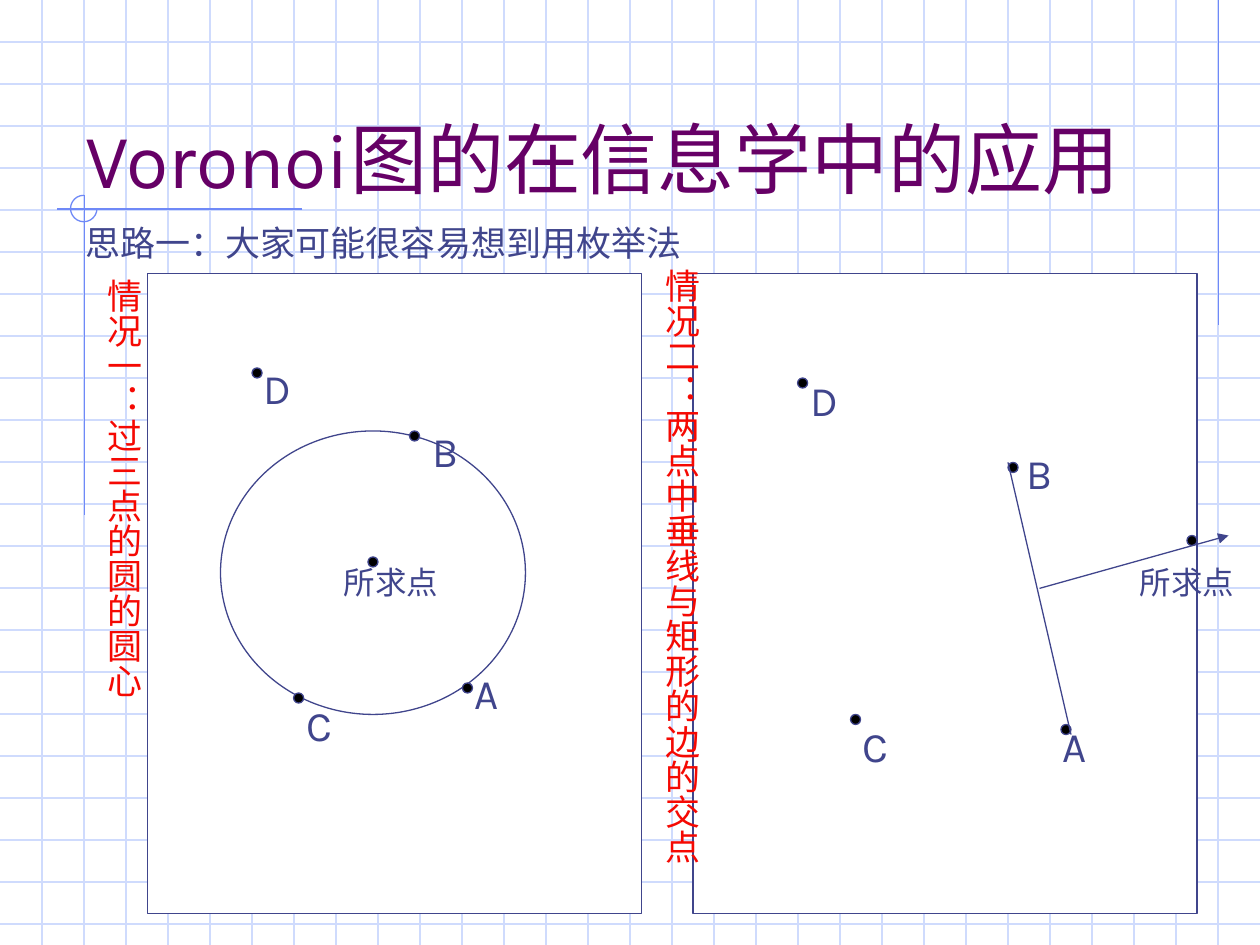
from lxml import etree
from pptx import Presentation
from pptx import util as u
from pptx.dml import color
from pptx.enum import shapes, text
from pptx.oxml import ns

FONT = "Karla"
INK, RED, PURPLE = "40458C", "F50903", "660066"
GRID, ACCENT = "CFDBFD", "6F89F7"
LINE_WIDTH = 0.74
DOT = 0.08


def rgb(value):
    """Turn a hex string into a colour."""
    return color.RGBColor.from_string(value)


def add_line(slide, start, end, line_color, arrow=False):
    """Draw a straight line, with an arrowhead at its end if asked."""
    points = [u.Inches(value) for value in (*start, *end)]
    connector = slide.shapes.add_connector(shapes.MSO_CONNECTOR.STRAIGHT, *points)
    connector.line.color.rgb = rgb(line_color)
    connector.line.width = u.Pt(LINE_WIDTH)
    if arrow:
        outline = connector.line._get_or_add_ln()
        etree.SubElement(outline, ns.qn("a:tailEnd"), type="triangle")
    etree.SubElement(connector._element.spPr, ns.qn("a:effectLst"))


def add_figure(slide, kind, box, fill=None, line_color=INK):
    """Draw a preset shape; without a fill colour it is hollow."""
    shape = slide.shapes.add_shape(kind, *[u.Inches(value) for value in box])
    shape.shadow.inherit = False
    if fill:
        shape.fill.solid()
        shape.fill.fore_color.rgb = rgb(fill)
    else:
        shape.fill.background()
    shape.line.color.rgb = rgb(line_color)
    shape.line.width = u.Pt(LINE_WIDTH)
    return shape


def add_text(slide, box, words, size, font_color=INK, centred=True,
             wrap=False, vertical=False, spacing=None):
    """Place one paragraph of text in a box, upright or top to bottom."""
    shape = slide.shapes.add_textbox(*[u.Inches(value) for value in box])
    frame = shape.text_frame
    frame.word_wrap = wrap
    frame.text = words
    paragraph = frame.paragraphs[0]
    paragraph.alignment = text.PP_ALIGN.CENTER if centred else text.PP_ALIGN.LEFT
    if spacing:
        paragraph.line_spacing = spacing
        paragraph.space_before = u.Pt(5)
    font = paragraph.runs[0].font
    font.name, font.size = FONT, u.Pt(size)
    font.color.rgb = rgb(font_color)
    if vertical:
        frame._txBody.bodyPr.set("vert", "eaVert")
        frame.margin_left = frame.margin_right = u.Inches(0.05)
        frame.margin_top = frame.margin_bottom = u.Inches(0.1)
    return frame


def add_background(slide, width, height):
    """Draw the square grid and the corner ornaments."""
    step = 1 / 3
    for row in range(1, int(height / step) + 1):
        add_line(slide, (0, row * step), (width, row * step), GRID)
    for column in range(1, round(width / step)):
        add_line(slide, (column * step, 0), (column * step, height), GRID)
    add_line(slide, (9.67, 0), (9.67, 2.58), ACCENT)
    add_line(slide, (2.4, 1.66), (0.45, 1.66), ACCENT)
    add_line(slide, (0.67, 1.55), (0.67, 4.09), ACCENT)
    arc = add_figure(slide, shapes.MSO_SHAPE.ARC, (0.56, 1.55, 0.21, 0.21),
                     line_color=ACCENT)
    arc.adjustments[0], arc.adjustments[1] = 0, 162  # 0 to 270 degrees


def add_heading(slide, left):
    """Write the title and the line below it."""
    title = add_text(slide, (left, 0.42, 8.5, 1.25), "Voronoi图的在信息学中的应用",
                     44, PURPLE, centred=False, wrap=True)
    title.vertical_anchor = text.MSO_ANCHOR.BOTTOM
    add_text(slide, (left, 1.75, 7.42, 0.42), "思路一：大家可能很容易想到用枚举法",
             20, centred=False, wrap=True, spacing=0.9)


def add_points(slide, left, top, points):
    """Draw dots with names; offsets are taken from the panel's corner."""
    for name, dot_x, dot_y, label_x, label_y, label_width in points:
        add_figure(slide, shapes.MSO_SHAPE.OVAL,
                   (left + dot_x, top + dot_y, DOT, DOT), "000000")
        size, height = (24, 0.5) if len(name) == 1 else (18, 0.4)
        add_text(slide, (left + label_x, top + label_y, label_width, height),
                 name, size)


def add_circle_case(slide, left, top, width, height):
    """Draw case one: the centre of the circle through three points."""
    add_figure(slide, shapes.MSO_SHAPE.RECTANGLE, (left, top, width, height), "FFFFFF")
    add_figure(slide, shapes.MSO_SHAPE.OVAL,
               (left + 0.58, top + 1.25, 2.42, 2.25), "FFFFFF")
    add_text(slide, (left - 0.5, top - 0.06, 0.53, 3.44),
             "情况一：过三点的圆的圆心", 20, RED, vertical=True)
    add_points(slide, left, top, [
        ("A", 2.5, 3.25, 2.49, 3.08, 0.41),
        ("B", 2.08, 1.25, 2.16, 1.16, 0.41),
        ("C", 1.16, 3.33, 1.16, 3.33, 0.41),
        ("D", 0.83, 0.75, 0.66, 0.66, 0.75),
        ("所求点", 1.75, 2.25, 1.46, 2.25, 0.95),
    ])


def add_bisector_case(slide, left, top, width, height):
    """Draw case two: a perpendicular bisector meeting the rectangle's side."""
    add_figure(slide, shapes.MSO_SHAPE.RECTANGLE, (left, top, width, height), "FFFFFF")
    add_text(slide, (left - 0.41, top - 0.14, 0.5, 5.66),
             "情况二：两点中垂线与矩形的边的交点", 20, RED,
             wrap=True, vertical=True, spacing=0.9)
    add_points(slide, left, top, [
        ("A", 2.92, 3.58, 2.83, 3.5, 0.4),
        ("B", 2.5, 1.5, 2.5, 1.33, 0.5),
        ("C", 1.25, 3.5, 1.24, 3.5, 0.41),
        ("D", 0.83, 0.83, 0.67, 0.75, 0.75),
        ("所求点", 3.92, 2.08, 3.17, 2.25, 1.5),
    ])
    add_line(slide, (left + 2.5, top + 1.5), (left + 3, top + 3.66), INK)
    add_line(slide, (left + 2.75, top + 2.5), (left + 4.25, top + 2.08), INK, arrow=True)


def main():
    """Build the slide and save it."""
    presentation = Presentation()
    presentation.slide_width = u.Inches(10)
    presentation.slide_height = u.Inches(7.5)
    slide = presentation.slides.add_slide(presentation.slide_layouts[6])
    add_background(slide, 10, 7.5)
    add_heading(slide, 0.58)
    add_circle_case(slide, 1.17, 2.17, 3.92, 5.08)
    add_bisector_case(slide, 5.5, 2.17, 4, 5.08)
    presentation.save("out.pptx")


main()
